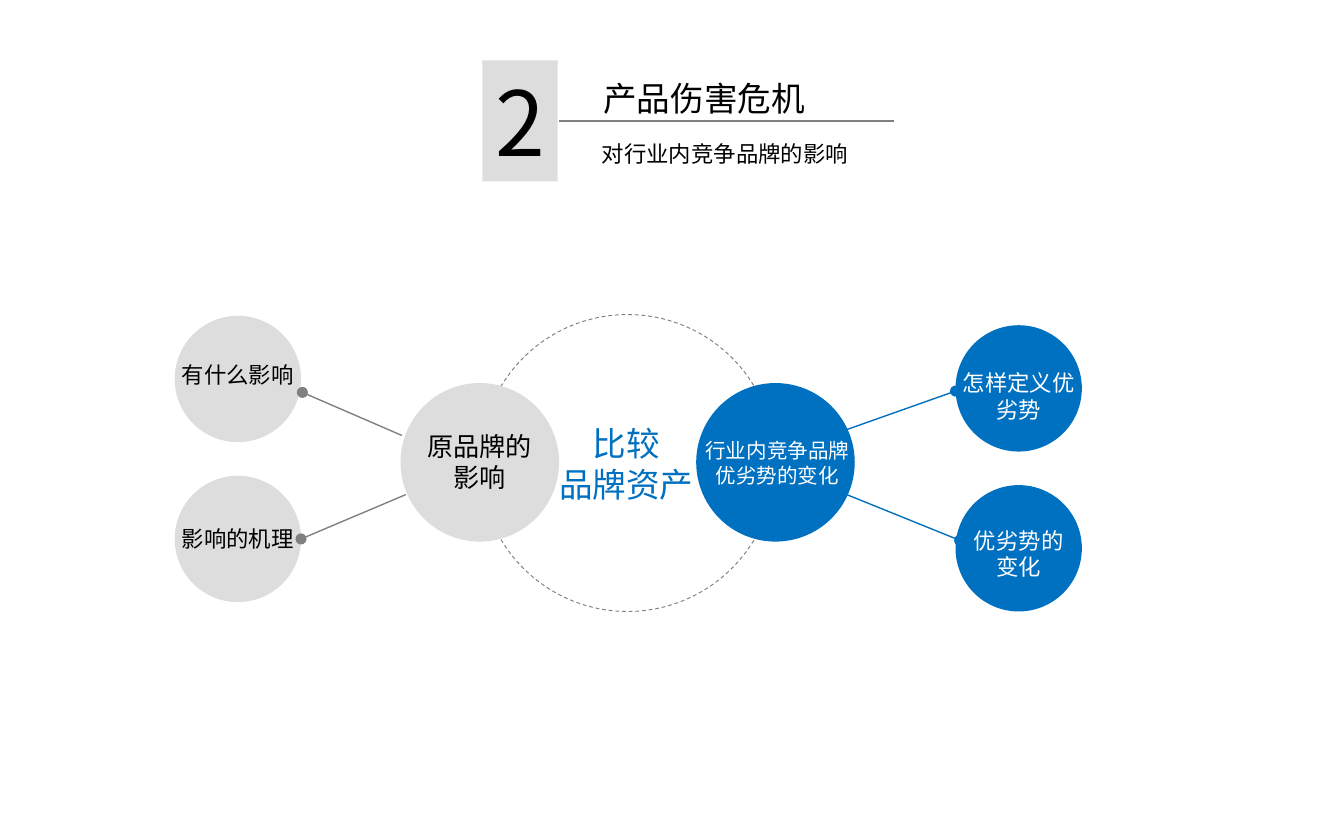
from typing import NamedTuple

from lxml.etree import SubElement
from pptx import Presentation
from pptx.dml.color import RGBColor
from pptx.enum.dml import MSO_LINE
from pptx.enum.shapes import MSO_CONNECTOR, MSO_SHAPE
from pptx.enum.text import MSO_ANCHOR, PP_ALIGN
from pptx.oxml.ns import qn
from pptx.util import Emu, Pt

PX = 9144  # 100 px to the inch
GREY, BLUE, LINE = "DDDDDD", "0070C0", "808080"
BLACK, WHITE = "000000", "FFFFFF"


class Box(NamedTuple):
    x: int
    y: int
    w: int
    h: int


class Disc(NamedTuple):
    box: Box
    fill: str


class Label(NamedTuple):
    box: Box
    text: str
    size: int
    color: str = BLACK
    align: PP_ALIGN = PP_ALIGN.CENTER


class Link(NamedTuple):
    start: tuple[int, int]
    end: tuple[int, int]
    color: str
    dot: bool = True


DISCS = [
    Disc(Box(130, 235, 94, 94), GREY),
    Disc(Box(130, 354, 94, 94), GREY),
    Disc(Box(711, 242, 94, 94), BLUE),
    Disc(Box(711, 361, 94, 94), BLUE),
    Disc(Box(298, 285, 118, 118), GREY),
    Disc(Box(518, 285, 118, 118), BLUE),
]
RING = Box(357, 234, 220, 221)
BADGE = Box(359, 45, 56, 90)

LABELS = [
    Label(Box(122, 264, 110, 30), "有什么影响", 12),
    Label(Box(122, 386, 110, 30), "影响的机理", 12),
    Label(Box(703, 270, 110, 50), "怎样定义优劣势", 12, WHITE),
    Label(Box(703, 387, 110, 50), "优劣势的\n变化", 12, WHITE),
    Label(Box(302, 315, 110, 57), "原品牌的影响", 14),
    Label(Box(514, 321, 129, 47), "行业内竞争品牌优劣势的变化", 11, WHITE),
    Label(Box(403, 310, 126, 70), "比较\n品牌资产", 18, BLUE),
    Label(Box(439, 53, 216, 40), "产品伤害危机", 18, align=PP_ALIGN.LEFT),
    Label(Box(438, 99, 217, 30), "对行业内竞争品牌的影响", 12,
          align=PP_ALIGN.LEFT),
]

LINKS = [
    Link((629, 320), (711, 291), BLUE),
    Link((630, 368), (714, 402), BLUE),
    Link((299, 324), (225, 292), LINE),
    Link((302, 368), (224, 401), LINE),
    Link((416, 90), (665, 90), LINE, dot=False),
]


def rgb(code: str) -> RGBColor:
    return RGBColor.from_string(code)


def scale(*nums: int) -> list[Emu]:
    return [Emu(n * PX) for n in nums]


def write(frame, text: str, *, size: int, color: str = BLACK,
          align: PP_ALIGN = PP_ALIGN.LEFT, font: str = "Cabin",
          anchor: MSO_ANCHOR = MSO_ANCHOR.TOP) -> None:
    frame.word_wrap = True
    frame.vertical_anchor = anchor
    for i, part in enumerate(text.split("\n")):
        para = frame.add_paragraph() if i else frame.paragraphs[0]
        para.alignment = align
        run = para.add_run()
        run.text = part
        run.font.size = Pt(size)
        run.font.color.rgb = rgb(color)
        run.font.name = font
        # Chinese text takes its face from the East Asian slot
        SubElement(run.font._element, qn("a:ea"), typeface=font)


def draw_shape(slide, kind: MSO_SHAPE, box: Box, fill: str | None = None):
    shape = slide.shapes.add_shape(kind, *scale(*box))
    shape.shadow.inherit = False
    shape.line.fill.background()
    if fill:
        shape.fill.solid()
        shape.fill.fore_color.rgb = rgb(fill)
    else:
        shape.fill.background()
    return shape


def draw_ring(slide, box: Box) -> None:
    line = draw_shape(slide, MSO_SHAPE.OVAL, box).line
    line.color.rgb = rgb(LINE)
    line.width = Pt(0.5)
    line.dash_style = MSO_LINE.DASH


def draw_label(slide, label: Label) -> None:
    frame = slide.shapes.add_textbox(*scale(*label.box)).text_frame
    write(frame, label.text, size=label.size, color=label.color,
          align=label.align)


def draw_link(slide, link: Link) -> None:
    wire = slide.shapes.add_connector(
        MSO_CONNECTOR.STRAIGHT, *scale(*link.start, *link.end))
    wire.line.color.rgb = rgb(link.color)
    wire.line.width = Pt(0.75)
    props = wire._element.spPr
    if link.dot:
        SubElement(props.find(qn("a:ln")), qn("a:tailEnd"), type="oval")
    SubElement(props, qn("a:effectLst"))


def main() -> None:
    deck = Presentation()
    deck.slide_width, deck.slide_height = scale(1000, 625)
    slide = deck.slides.add_slide(deck.slide_layouts[6])

    draw_ring(slide, RING)
    for disc in DISCS:
        draw_shape(slide, MSO_SHAPE.OVAL, disc.box, disc.fill)
    badge = draw_shape(slide, MSO_SHAPE.RECTANGLE, BADGE, GREY)
    write(badge.text_frame, "2", size=48, font="Noto Sans CJK SC",
          anchor=MSO_ANCHOR.MIDDLE)
    for link in LINKS:
        draw_link(slide, link)
    for label in LABELS:
        draw_label(slide, label)

    deck.save("out.pptx")


if __name__ == "__main__":
    main()
